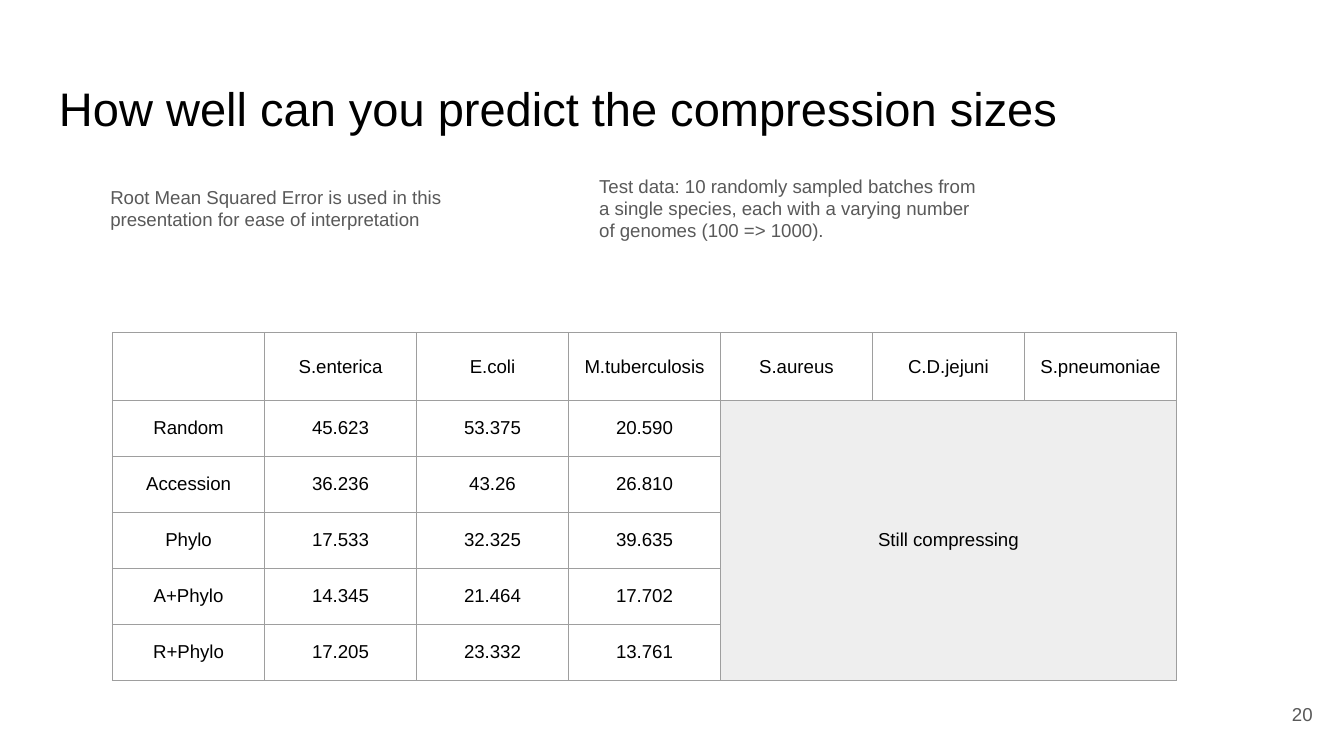
from lxml import etree
from pptx import Presentation
from pptx.dml.color import RGBColor
from pptx.enum.text import MSO_ANCHOR, PP_ALIGN
from pptx.oxml.ns import qn
from pptx.util import Pt

TOP, MID = MSO_ANCHOR.TOP, MSO_ANCHOR.MIDDLE
LEFT, MIDDLE, RIGHT = PP_ALIGN.LEFT, PP_ALIGN.CENTER, PP_ALIGN.RIGHT
BLACK, GREY, LINE, SHADE = "000000", "595959", "9E9E9E", "EEEEEE"
PAD = Pt(7.2)

TEXTS = [
    ("How well can you predict the compression sizes",
     (24.5, 35.4, 671, 45.1), 25.2, BLACK, LEFT, TOP),
    ("20", (667.1, 367.2, 43.2, 31), 10, GREY, RIGHT, MID),
    ("Root Mean Squared Error is used in this presentation for ease of interpretation",
     (52, 92.2, 222.5, 38.9), 10, GREY, LEFT, TOP),
    ("Test data: 10 randomly sampled batches from a single species, "
     "each with a varying number of genomes (100 => 1000).",
     (313.9, 86.2, 222.5, 51.1), 10, GREY, LEFT, TOP),
]
ROWS = [
    ("", "S.enterica", "E.coli", "M.tuberculosis", "S.aureus", "C.D.jejuni", "S.pneumoniae"),
    ("Random", "45.623", "53.375", "20.590", "Still compressing"),
    ("Accession", "36.236", "43.26", "26.810"),
    ("Phylo", "17.533", "32.325", "39.635"),
    ("A+Phylo", "14.345", "21.464", "17.702"),
    ("R+Phylo", "17.205", "23.332", "13.761"),
]
X, Y, WIDE, HEAD, HIGH = 60.3, 178.3, 81.43, 36.2, 30


def tint(code):
    return RGBColor.from_string(code)


def style(frame, text, size, color, align):
    para = frame.paragraphs[0]
    para.alignment = align
    font = para.font
    if text:
        run = para.add_run()
        run.text = text
        font = run.font
    for name, value in {"name": "Arial", "size": Pt(size)}.items():
        setattr(font, name, value)
    font.color.rgb = tint(color)


def inset(part, anchor):
    values = {"margin_left": PAD, "margin_right": PAD, "margin_top": PAD,
              "margin_bottom": PAD, "vertical_anchor": anchor}
    for name, value in values.items():
        setattr(part, name, value)


def border(cell):
    props = cell._tc.get_or_add_tcPr()
    for spot, side in enumerate(("a:lnL", "a:lnR", "a:lnT", "a:lnB")):
        line = etree.Element(qn(side), w=str(Pt(0.75)))
        fill = etree.SubElement(line, qn("a:solidFill"))
        etree.SubElement(fill, qn("a:srgbClr"), val=LINE)
        props.insert(spot, line)


deck = Presentation()
deck.slide_width, deck.slide_height = Pt(720), Pt(405)
slide = deck.slides.add_slide(deck.slide_layouts[6])

for text, place, size, color, align, anchor in TEXTS:
    frame = slide.shapes.add_textbox(*map(Pt, place)).text_frame
    frame.word_wrap = True
    inset(frame, anchor)
    style(frame, text, size, color, align)

count = len(ROWS[0])
tall = HEAD + HIGH * (len(ROWS) - 1)
table = slide.shapes.add_table(
    len(ROWS), count, Pt(X), Pt(Y), Pt(WIDE * count), Pt(tall)).table
table.first_row = table.horz_banding = False
for col in table.columns:
    col.width = Pt(WIDE)
for i, row in enumerate(table.rows):
    row.height = Pt(HIGH if i else HEAD)
    for j, cell in enumerate(row.cells):
        inset(cell, MID)
        text = ROWS[i][j] if j < len(ROWS[i]) else ""
        style(cell.text_frame, text, 10, BLACK, MIDDLE)
        if i and j > 3:
            cell.fill.solid()
            cell.fill.fore_color.rgb = tint(SHADE)
        else:
            cell.fill.background()
        border(cell)
table.cell(1, 4).merge(table.cell(len(ROWS) - 1, count - 1))

deck.save("out.pptx")
